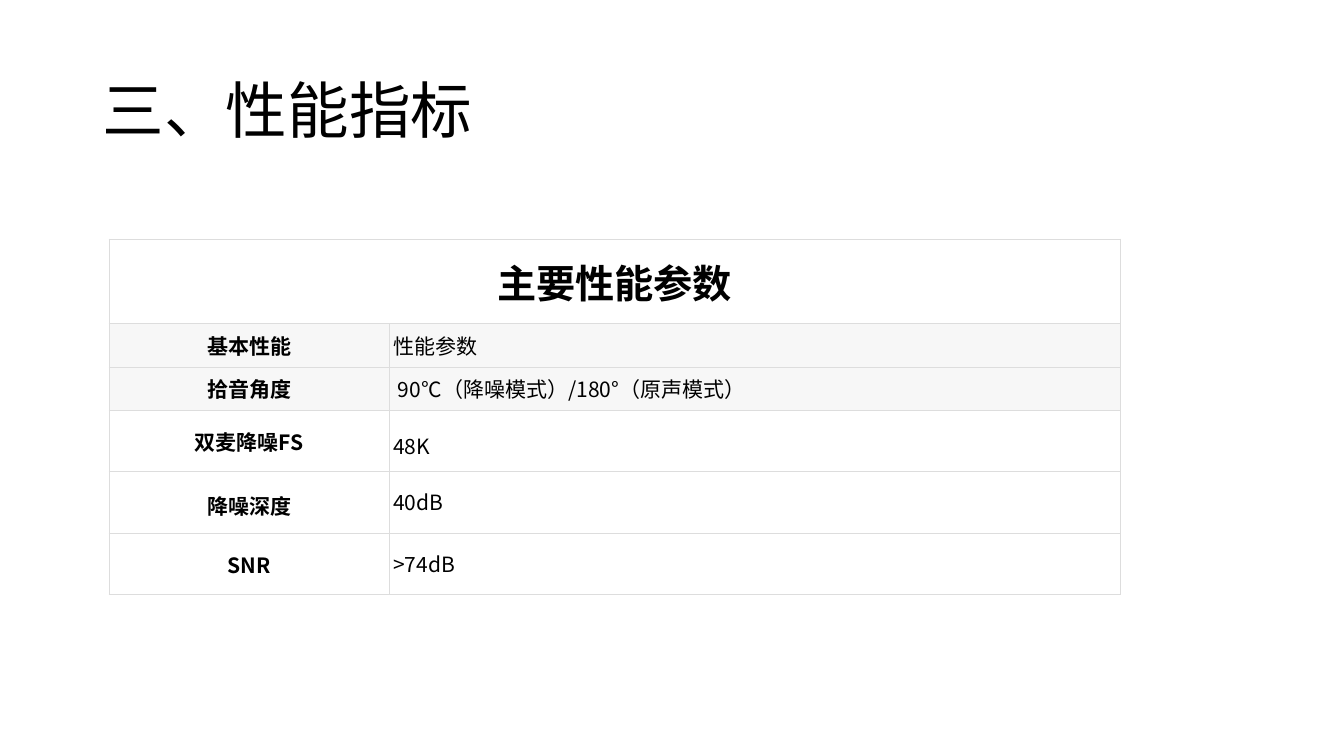
from lxml import etree
from pptx import Presentation
from pptx.dml.color import RGBColor
from pptx.enum.text import MSO_ANCHOR, PP_ALIGN
from pptx.oxml.ns import qn
from pptx.util import Inches, Pt

MIDDLE = MSO_ANCHOR.MIDDLE
CENTER, LEFT = PP_ALIGN.CENTER, PP_ALIGN.LEFT

COLORS = {"text": "000000", "border": "DDDDDD", "band": "F7F7F7", "plain": "FFFFFF"}
LATIN, CJK = "Arial", "Noto Sans CJK SC"

TITLE = "三、性能指标"
HEADING = "主要性能参数"
ROWS = [
    {"label": "基本性能", "value": "性能参数", "height": 0.43, "fill": "band"},
    {"label": "拾音角度", "value": " 90°C（降噪模式）/180°（原声模式）", "height": 0.43, "fill": "band"},
    {"label": "双麦降噪FS", "value": "48K", "height": 0.61, "fill": "plain",
     "value_spacing": 1.3, "value_after": 10},
    {"label": "降噪深度", "value": "40dB", "height": 0.61, "fill": "plain",
     "label_spacing": 1.2, "value_spacing": 0.9, "value_after": 10},
    {"label": "SNR", "value": ">74dB", "height": 0.61, "fill": "plain",
     "value_spacing": 0.9, "value_after": 10},
]
COL_WIDTHS = [2.78, 7.25]
HEADING_HEIGHT = 0.84
TABLE_LEFT, TABLE_TOP = 1.08, 2.37
CELL_MARGIN = 0.04


def add_text(tf, text, size, font, bold=False, align=LEFT, spacing=None, after=None):
    p = tf.paragraphs[0]
    p.alignment = align
    if spacing:
        p.line_spacing = spacing
    if after:
        p.space_after = Pt(after)
    r = p.add_run()
    r.text = text
    r.font.size = Pt(size)
    r.font.bold = bold
    r.font.color.rgb = RGBColor.from_string(COLORS["text"])
    r.font.name = font
    etree.SubElement(r.font._element, qn("a:ea"), typeface=CJK)


def style_cell(cell, fill):
    tc_pr = cell._tc.get_or_add_tcPr()
    for side in ("lnL", "lnR", "lnT", "lnB"):
        ln = etree.SubElement(tc_pr, qn(f"a:{side}"), w=str(Pt(0.5)))
        solid = etree.SubElement(ln, qn("a:solidFill"))
        etree.SubElement(solid, qn("a:srgbClr"), val=COLORS["border"])
    cell.fill.solid()
    cell.fill.fore_color.rgb = RGBColor.from_string(COLORS[fill])
    cell.margin_left = cell.margin_right = Inches(CELL_MARGIN)
    cell.margin_top = cell.margin_bottom = Inches(CELL_MARGIN)
    cell.vertical_anchor = MIDDLE


def add_title(s):
    sp = s.shapes.add_textbox(Inches(0.92), Inches(0.4), Inches(11.5), Inches(1.45))
    tf = sp.text_frame
    tf.word_wrap = True
    tf.vertical_anchor = MIDDLE
    add_text(tf, TITLE, 44, LATIN, spacing=0.9)


def add_spec_table(s):
    heights = [HEADING_HEIGHT] + [row["height"] for row in ROWS]
    table = s.shapes.add_table(
        len(heights), len(COL_WIDTHS), Inches(TABLE_LEFT), Inches(TABLE_TOP),
        Inches(sum(COL_WIDTHS)), Inches(sum(heights))).table
    table.first_row = table.horz_banding = False
    for col, width in zip(table.columns, COL_WIDTHS):
        col.width = Inches(width)
    for line, height in zip(table.rows, heights):
        line.height = Inches(height)

    fills = ["plain"] + [row["fill"] for row in ROWS]
    for line, fill in zip(table.rows, fills):
        for cell in line.cells:
            style_cell(cell, fill)

    heading = table.cell(0, 0)
    heading.merge(table.cell(0, 1))
    add_text(heading.text_frame, HEADING, 28, CJK, True, CENTER)
    for i, row in enumerate(ROWS, 1):
        add_text(table.cell(i, 0).text_frame, row["label"], 15, CJK, True, CENTER,
                 row.get("label_spacing"))
        add_text(table.cell(i, 1).text_frame, row["value"], 15, CJK,
                 spacing=row.get("value_spacing"), after=row.get("value_after"))


def main():
    """Build the performance specification slide."""
    prs = Presentation()
    prs.slide_width, prs.slide_height = Inches(13.33), Inches(7.5)
    s = prs.slides.add_slide(prs.slide_layouts[6])
    add_title(s)
    add_spec_table(s)
    prs.save("out.pptx")


if __name__ == "__main__":
    main()
